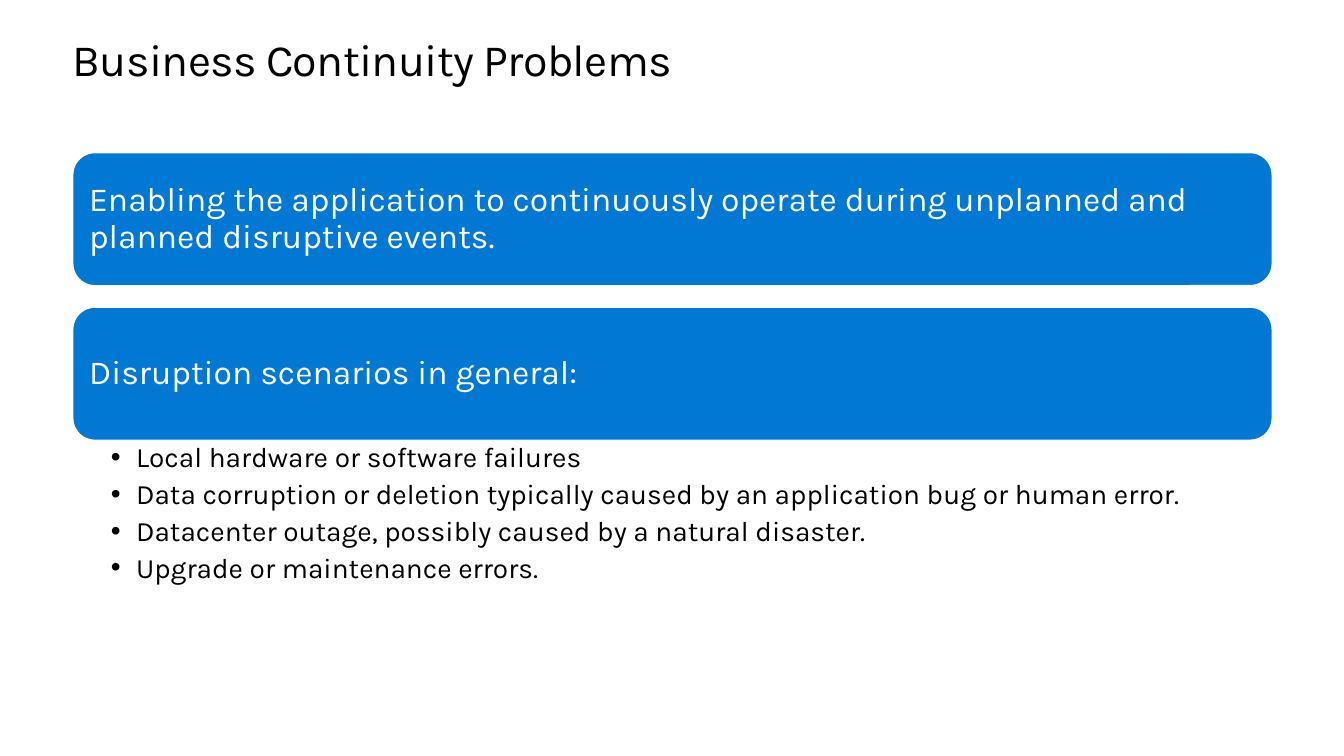
from dataclasses import dataclass

from lxml import etree
from pptx import Presentation
from pptx import util as u
from pptx.dml.color import RGBColor
from pptx.enum import shapes, text
from pptx.oxml.ns import qn

TITLE = "Business Continuity Problems"
CARDS = [
    "Enabling the application to continuously operate during unplanned and planned disruptive events.",
    "Disruption scenarios in general:",
]
SCENARIOS = [
    "Local hardware or software failures",
    "Data corruption or deletion typically caused by an application bug or human error.",
    "Datacenter outage, possibly caused by a natural disaster.",
    "Upgrade or maintenance errors.",
]


@dataclass(frozen=True)
class Theme:
    font: str = "Karla"
    ink: RGBColor = RGBColor(0x00, 0x00, 0x00)
    paper: RGBColor = RGBColor(0xFF, 0xFF, 0xFF)
    accent: RGBColor = RGBColor(0x00, 0x78, 0xD4)
    title_size: float = 32
    card_size: float = 24
    list_size: float = 20


THEME = Theme()
LEFT, WIDTH = 52, 856.8
TITLE_TOP, TITLE_HEIGHT = 25.2, 36
CARD_TOP, CARD_HEIGHT, CARD_GAP = 109, 95.1, 15.3
LIST_HEIGHT = 116.6
LIST_INDENT = 18


def place(shape, top, height):
    shape.left, shape.top = u.Pt(LEFT), u.Pt(top)
    shape.width, shape.height = u.Pt(WIDTH), u.Pt(height)


def set_frame(frame, anchor, insets):
    frame.word_wrap = True
    frame.auto_size = text.MSO_AUTO_SIZE.NONE
    frame.vertical_anchor = anchor
    frame.margin_left, frame.margin_top, frame.margin_right, frame.margin_bottom = map(u.Pt, insets)


def write(para, words, size, color, spacing):
    para.alignment = text.PP_ALIGN.LEFT
    para.line_spacing = spacing
    para.space_before = u.Pt(0)
    span = para.add_run()
    span.text = words
    span.font.name = THEME.font
    span.font.size = u.Pt(size)
    span.font.color.rgb = color
    return span


def add_title(page):
    title = page.shapes.title
    place(title, TITLE_TOP, TITLE_HEIGHT)
    set_frame(title.text_frame, text.MSO_ANCHOR.TOP, (0, 0, 0, 0))
    span = write(title.text_frame.paragraphs[0], TITLE, THEME.title_size, THEME.ink, u.Pt(36.2))
    span.font._element.set("spc", "-50")


def add_card(page, words, top):
    card = page.shapes.add_shape(
        shapes.MSO_SHAPE.ROUNDED_RECTANGLE, u.Pt(LEFT), u.Pt(top), u.Pt(WIDTH), u.Pt(CARD_HEIGHT))
    card.shadow.inherit = False
    card.fill.solid()
    card.fill.fore_color.rgb = THEME.accent
    card.line.color.rgb = THEME.paper
    card.line.width = u.Pt(1)
    set_frame(card.text_frame, text.MSO_ANCHOR.MIDDLE, (7.2, 7.2, 7.2, 7.2))
    write(card.text_frame.paragraphs[0], words, THEME.card_size, THEME.paper, 0.9)


def add_scenarios(page, top):
    box = page.placeholders[1]
    place(box, top, LIST_HEIGHT)
    frame = box.text_frame
    set_frame(frame, text.MSO_ANCHOR.TOP, (27.2, 2.2, 11.5, 2.2))
    for index, words in enumerate(SCENARIOS):
        para = frame.add_paragraph() if index else frame.paragraphs[0]
        properties = para._p.get_or_add_pPr()
        properties.set("marL", str(u.Pt(LIST_INDENT)))
        properties.set("indent", str(-u.Pt(LIST_INDENT)))
        etree.SubElement(properties, qn("a:buChar")).set("char", "•")
        write(para, words, THEME.list_size, THEME.ink, 0.9)
        para.space_after = u.Pt(4.7)


def main():
    deck = Presentation()
    deck.slide_width, deck.slide_height = u.Pt(960), u.Pt(540)
    page = deck.slides.add_slide(deck.slide_layouts[1])
    add_title(page)
    top = CARD_TOP
    for words in CARDS:
        add_card(page, words, top)
        top += CARD_HEIGHT + CARD_GAP
    add_scenarios(page, top - CARD_GAP)
    deck.save("out.pptx")


if __name__ == "__main__":
    main()
